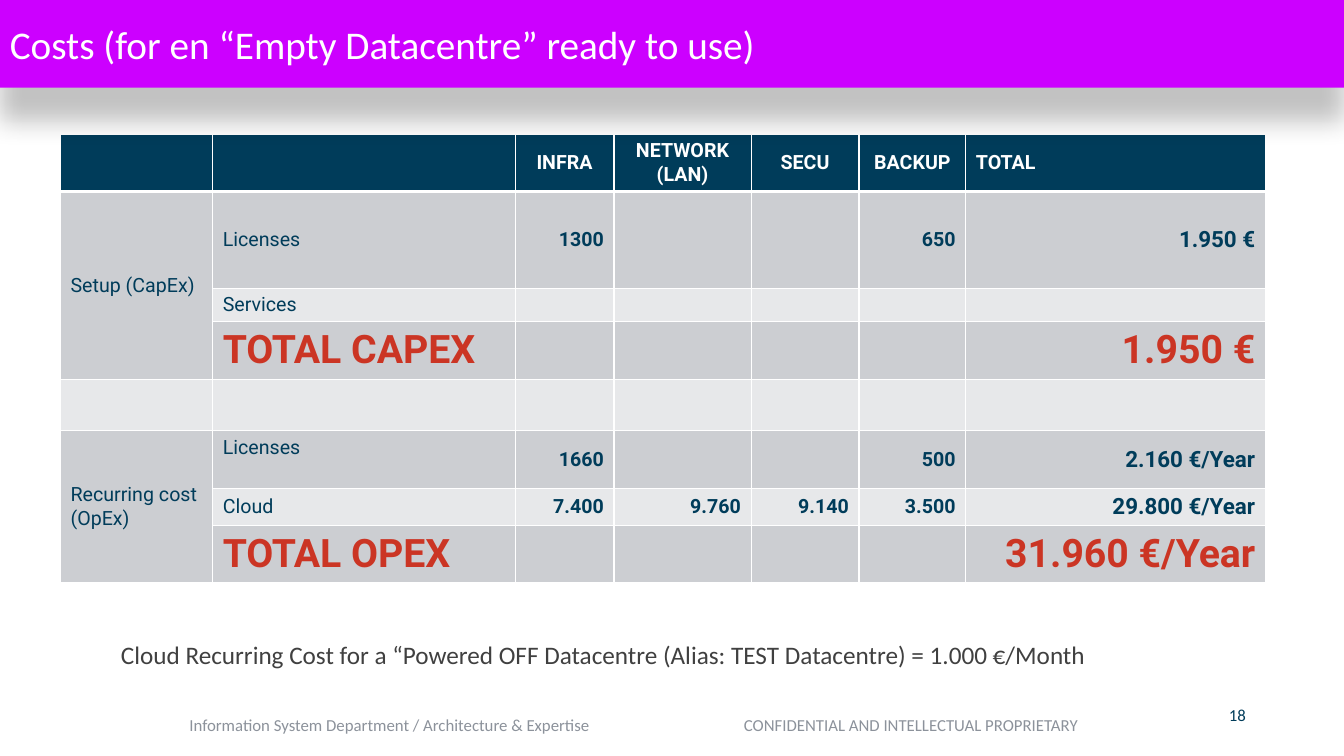
from dataclasses import dataclass

from lxml.etree import SubElement
from pptx import Presentation
from pptx.dml.color import RGBColor
from pptx.enum.shapes import MSO_SHAPE as Shape
from pptx.enum.text import MSO_ANCHOR as Anchor, PP_ALIGN as Align
from pptx.oxml.ns import qn
from pptx.util import Inches, Pt


@dataclass(frozen=True)
class Theme:
    heading_font: str = "Calibri"
    table_font: str = "Roboto"
    banner: str = "CC00FF"
    white: str = "FFFFFF"
    navy: str = "003C5A"
    red: str = "CB3524"
    grey: str = "8C929B"
    body: str = "404040"
    dark_band: str = "CCCED2"
    light_band: str = "E7E8EA"
    title_size: int = 28
    note_size: int = 18
    sum_size: int = 16
    cell_size: int = 14
    footer_size: int = 12


COLUMN_WIDTHS = [1.51, 3, 0.98, 1.36, 1.07, 1.06, 2.97]
ROW_HEIGHTS = [0.57, 0.96, 0.33, 0.57, 0.51, 0.57, 0.37, 0.57]
COSTS = [
    ["", "", "INFRA", "NETWORK\n(LAN)", "SECU", "BACKUP", "TOTAL"],
    ["Setup (CapEx)", "Licenses", "1300", "", "", "650", "1.950 €"],
    ["", "Services", "", "", "", "", ""],
    ["", "TOTAL CAPEX", "", "", "", "", "1.950 €"],
    ["", "", "", "", "", "", ""],
    ["Recurring cost (OpEx)", "Licenses", "1660", "", "", "500", "2.160 €/Year"],
    ["", "Cloud", "7.400", "9.760", "9.140", "3.500", "29.800 €/Year"],
    ["", "TOTAL OPEX", "", "", "", "", "31.960 €/Year"],
]
CATEGORY_ROWS = [(1, 3), (5, 7)]
TOTAL_ROWS = [last for _, last in CATEGORY_ROWS]
TOTAL_COLUMN = len(COLUMN_WIDTHS) - 1


def write(frame, text, *, font, size, color, bold=False, align=Align.LEFT):
    """Fill a text frame, one paragraph per line of text."""
    frame.word_wrap = True
    for number, line in enumerate(text.split("\n")):
        paragraph = frame.add_paragraph() if number else frame.paragraphs[0]
        paragraph.alignment = align
        paragraph.font.size = Pt(size)
        if not line:
            # An empty cell keeps its height from the end-of-paragraph size.
            end = SubElement(paragraph._p, qn("a:endParaRPr"))
            end.set("sz", str(size * 100))
            continue
        run = paragraph.add_run()
        run.text = line
        run.font.name = font
        run.font.size = Pt(size)
        run.font.bold = bold
        run.font.color.rgb = RGBColor.from_string(color)


class SlideBuilder:
    def __init__(self, slide, theme):
        self.slide = slide
        self.theme = theme

    def banner(self, text, width, height):
        theme = self.theme
        banner = self.slide.shapes.add_shape(
            Shape.RECTANGLE, 0, 0, Inches(width), Inches(height))
        banner.fill.solid()
        banner.fill.fore_color.rgb = RGBColor.from_string(theme.banner)
        banner.line.fill.background()
        banner.shadow.inherit = False
        self.drop_shadow(banner)
        banner.text_frame.vertical_anchor = Anchor.MIDDLE
        write(banner.text_frame, text, font=theme.heading_font,
              size=theme.title_size, color=theme.white)

    def drop_shadow(self, shape):
        effects = shape._element.spPr.find(qn("a:effectLst"))
        shadow = SubElement(effects, qn("a:outerShdw"), blurRad=str(Pt(19)),
                            dist=str(Pt(24)), dir=str(92 * 60000), rotWithShape="0")
        color = SubElement(shadow, qn("a:srgbClr"), val="000000")
        SubElement(color, qn("a:alpha"), val="24000")

    def text(self, text, left, top, width, height, *, indent=0.1,
             anchor=Anchor.TOP, **text_format):
        box = self.slide.shapes.add_textbox(
            Inches(left), Inches(top), Inches(width), Inches(height))
        box.text_frame.margin_left = Inches(indent)
        box.text_frame.vertical_anchor = anchor
        write(box.text_frame, text, font=self.theme.heading_font, **text_format)
        return box

    def footer(self, department, notice):
        footer = self.text(f"{department}\t{notice}", 1.78, 6.94, 9.03, 0.4,
                           anchor=Anchor.BOTTOM, size=self.theme.footer_size,
                           color=self.theme.grey)
        properties = footer.text_frame.paragraphs[0]._p.get_or_add_pPr()
        stops = properties.makeelement(qn("a:tabLst"))
        properties.insert(0, stops)
        SubElement(stops, qn("a:tab"), pos=str(Inches(5.5)), algn="l")

    def cost_table(self, left, top):
        table = self.slide.shapes.add_table(
            len(COSTS), len(COLUMN_WIDTHS), Inches(left), Inches(top),
            Inches(sum(COLUMN_WIDTHS)), Inches(sum(ROW_HEIGHTS))).table
        for column, width in zip(table.columns, COLUMN_WIDTHS):
            column.width = Inches(width)
        for row, height in zip(table.rows, ROW_HEIGHTS):
            row.height = Inches(height)
        for r, values in enumerate(COSTS):
            for c, value in enumerate(values):
                self.cost_cell(table.cell(r, c), r, c, value)
        for first, last in CATEGORY_ROWS:
            table.cell(first, 0).merge(table.cell(last, 0))
        # The recurring licence label sits at the top of its row.
        table.cell(5, 1).vertical_anchor = Anchor.TOP

    def cost_cell(self, cell, r, c, value):
        theme = self.theme
        self.cell_borders(cell, top=3 if r == 1 else 1, bottom=3 if r == 0 else 1)
        if r == 0:
            fill, color, size, bold = theme.navy, theme.white, theme.cell_size, True
            align = Align.LEFT if c == TOTAL_COLUMN else Align.CENTER
        else:
            fill = theme.dark_band if r % 2 or c == 0 and r != 4 else theme.light_band
            color, size, bold = theme.navy, theme.cell_size, c > 1
            align = Align.RIGHT if c > 1 else Align.LEFT
            if r in TOTAL_ROWS and value:
                color, size, bold = theme.red, theme.title_size, True
            elif c == TOTAL_COLUMN and value:
                size = theme.sum_size
        cell.fill.solid()
        cell.fill.fore_color.rgb = RGBColor.from_string(fill)
        cell.vertical_anchor = Anchor.MIDDLE
        write(cell.text_frame, value, font=theme.table_font, size=size,
              color=color, bold=bold, align=align)

    def cell_borders(self, cell, top, bottom):
        properties = cell._tc.get_or_add_tcPr()
        for side, width in (("L", 1), ("R", 1), ("T", top), ("B", bottom)):
            line = SubElement(properties, qn(f"a:ln{side}"), w=str(Pt(width)))
            fill = SubElement(line, qn("a:solidFill"))
            SubElement(fill, qn("a:srgbClr"), val=self.theme.white)


def main():
    deck = Presentation()
    deck.slide_width, deck.slide_height = Inches(13.33), Inches(7.5)
    theme = Theme()
    costs = SlideBuilder(deck.slides.add_slide(deck.slide_layouts[6]), theme)

    costs.footer("Information System Department / Architecture & Expertise",
                 "CONFIDENTIAL AND INTELLECTUAL PROPRIETARY")
    costs.text("18", 12.09, 6.94, 0.47, 0.43,
               size=theme.footer_size, color=theme.navy)
    costs.cost_table(0.6, 1.33)
    costs.text("Cloud Recurring Cost for a “Powered OFF Datacentre "
               "(Alias: TEST Datacentre) = 1.000 €/Month",
               0.6, 6.29, 11.16, 0.4, indent=0.6,
               size=theme.note_size, color=theme.body)
    costs.banner("Costs (for en “Empty Datacentre” ready to use)", 13.33, 0.87)
    deck.save("out.pptx")


if __name__ == "__main__":
    main()
